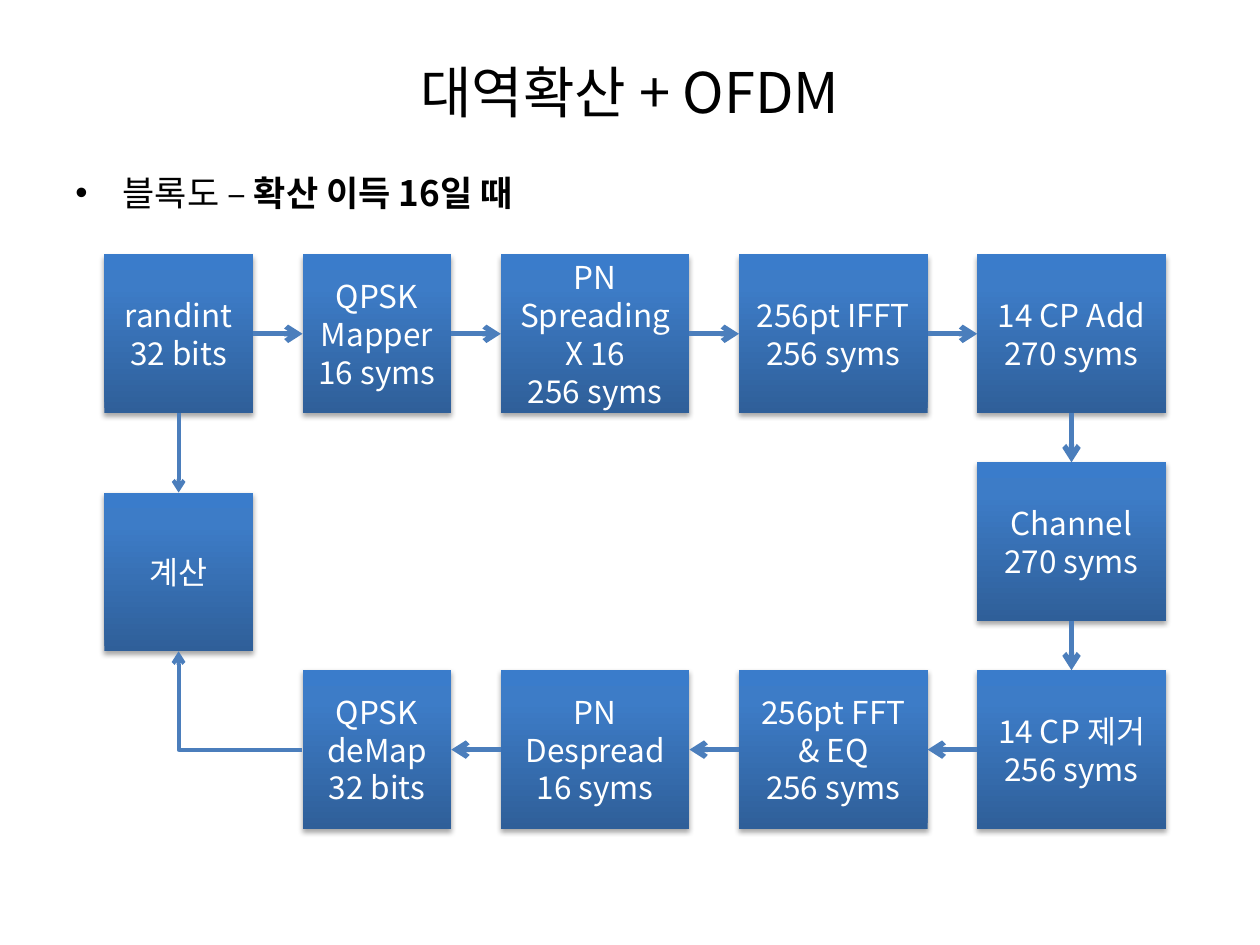
import pptx
import pptx.util
import pptx.dml.color
import pptx.enum.shapes
import pptx.enum.text
import pptx.oxml
import pptx.oxml.ns

Pt = pptx.util.Pt
qn = pptx.oxml.ns.qn
FONT = "Noto Sans CJK KR"
BLACK, WHITE, ARROW_BLUE = "000000", "FFFFFF", "4B7EBC"
GRADIENT = [(0, "2F5F99"), (80, "3D7CC7"), (100, "3A7CCB")]
TITLE = "대역확산 + OFDM"
BULLET = [("블록도 – ", False), ("확산 이득 16일 때", True)]

# name: (column, row, lines)
BLOCKS = {
    "source": (0, "top", ["randint", "32 bits"]),
    "mapper": (1, "top", ["QPSK", "Mapper", "16 syms"]),
    "spreading": (2, "top", ["PN", "Spreading", "X 16", "256 syms"]),
    "ifft": (3, "top", ["256pt IFFT", "256 syms"]),
    "cp_add": (4, "top", ["14 CP Add", "270 syms"]),
    "channel": (4, "middle", ["Channel", "270 syms"]),
    "cp_remove": (4, "bottom", ["14 CP 제거", "256 syms"]),
    "fft": (3, "bottom", ["256pt FFT", "& EQ", "256 syms"]),
    "despread": (2, "bottom", ["PN", "Despread", "16 syms"]),
    "demapper": (1, "bottom", ["QPSK", "deMap", "32 bits"]),
    "result": (0, "result", ["계산"]),
}
CHAIN = ["source", "mapper", "spreading", "ifft", "cp_add", "channel",
         "cp_remove", "fft", "despread", "demapper"]
TOP, LEFT, BOTTOM, RIGHT = range(4)  # connection sites of a rectangle

WIDTHS = [85, 85, 107.8, 107.8, 107.8]
FIRST_LEFT, GAP, HEIGHT = 59.6, 28.3, 90.7
LEFTS = [FIRST_LEFT + sum(WIDTHS[:i]) + GAP * i for i in range(len(WIDTHS))]
ROWS = {"top": 145.4, "middle": 264.2, "bottom": 383, "result": 281.5}


def color(value):
    """Turn a hex string into a colour."""
    return pptx.dml.color.RGBColor.from_string(value)


def xml(tag, attributes="", inner=""):
    """Make a drawing element from its tag, attributes and content."""
    return pptx.oxml.parse_xml(
        f'<a:{tag} {pptx.oxml.ns.nsdecls("a")} {attributes}>{inner}</a:{tag}>')


def style_run(run, size, value, bold=False):
    """Format one run, for Latin and Korean text alike."""
    run.font.name, run.font.size, run.font.bold = FONT, Pt(size), bold
    run.font.color.rgb = color(value)
    run._r.get_or_add_rPr().find(qn("a:latin")).addnext(
        xml("ea", f'typeface="{FONT}"'))


def place(shape, left, top, width, height):
    """Move and size a shape, in points."""
    shape.left, shape.top = Pt(left), Pt(top)
    shape.width, shape.height = Pt(width), Pt(height)


def add_title(slide):
    """Fill the title placeholder."""
    title = slide.shapes.title
    place(title, 36, 21.6, 648, 61.2)
    title.text_frame.text = TITLE
    title.text_frame.vertical_anchor = pptx.enum.text.MSO_ANCHOR.MIDDLE
    para = title.text_frame.paragraphs[0]
    para.alignment = pptx.enum.text.PP_ALIGN.CENTER
    style_run(para.runs[0], 32, BLACK)


def add_bullet(slide):
    """Add the bulleted line above the diagram."""
    box = slide.shapes.add_textbox(Pt(36), Pt(94.3), Pt(648), Pt(388))
    box.text_frame.word_wrap = True
    para = box.text_frame.paragraphs[0]
    para.space_before = Pt(4)
    properties = para._p.get_or_add_pPr()
    properties.set("marL", str(Pt(27)))
    properties.set("indent", str(Pt(-27)))
    properties.append(xml("buFont", 'typeface="Arial"'))
    properties.append(xml("buChar", 'char="•"'))
    for text, bold in BULLET:
        run = para.add_run()
        run.text = text
        style_run(run, 20, BLACK, bold)


def add_block(slide, column, row, lines):
    """Add one block with gradient, shadow and centred lines."""
    box = slide.shapes.add_shape(
        pptx.enum.shapes.MSO_SHAPE.RECTANGLE, Pt(LEFTS[column]),
        Pt(ROWS[row]), Pt(WIDTHS[column]), Pt(HEIGHT))
    box.fill.gradient()
    box.fill.gradient_angle = 90
    stops = box._element.spPr.find(qn("a:gradFill")).find(qn("a:gsLst"))
    for stop in list(stops):
        stops.remove(stop)
    for position, value in GRADIENT:
        stops.append(xml("gs", f'pos="{position * 1000}"',
                         f'<a:srgbClr val="{value}"/>'))
    box.line.fill.background()
    box.shadow.inherit = False
    box._element.spPr.find(qn("a:effectLst")).append(xml(
        "outerShdw",
        f'blurRad="{Pt(3.1)}" dist="{Pt(1.8)}" dir="5400000" rotWithShape="0"',
        '<a:srgbClr val="000000"><a:alpha val="35000"/></a:srgbClr>'))
    frame = box.text_frame
    frame.word_wrap = True
    frame.vertical_anchor = pptx.enum.text.MSO_ANCHOR.MIDDLE
    frame.text = "\n".join(lines)
    for para in frame.paragraphs:
        para.alignment = pptx.enum.text.PP_ALIGN.CENTER
        style_run(para.runs[0], 18, WHITE)
    return box


def add_arrow(slide, start, start_site, end, end_site, weight=3, bent=False):
    """Join two blocks with an arrow, straight or with one corner."""
    kinds = pptx.enum.shapes.MSO_CONNECTOR
    arrow = slide.shapes.add_connector(
        kinds.ELBOW if bent else kinds.STRAIGHT, 0, 0, 0, 0)
    arrow.begin_connect(start, start_site)
    arrow.end_connect(end, end_site)
    arrow.line.color.rgb = color(ARROW_BLUE)
    arrow.line.width = Pt(weight)
    arrow.line._get_or_add_ln().append(xml("tailEnd", 'type="arrow"'))
    properties = arrow._element.spPr
    properties.append(xml("effectLst"))
    if bent:
        properties.find(qn("a:prstGeom")).set("prst", "bentConnector2")


def chain_sites(start, end):
    """Choose the facing sides of two neighbouring blocks."""
    if BLOCKS[start][0] == BLOCKS[end][0]:
        return BOTTOM, TOP
    return (RIGHT, LEFT) if BLOCKS[start][0] < BLOCKS[end][0] else (LEFT, RIGHT)


deck = pptx.Presentation()
deck.slide_width, deck.slide_height = Pt(720), Pt(540)
page = deck.slides.add_slide(deck.slide_layouts[5])
add_title(page)
add_bullet(page)
boxes = {name: add_block(page, *block) for name, block in BLOCKS.items()}
for first, second in zip(CHAIN, CHAIN[1:]):
    first_site, second_site = chain_sites(first, second)
    add_arrow(page, boxes[first], first_site, boxes[second], second_site)
add_arrow(page, boxes["source"], BOTTOM, boxes["result"], TOP, 2.25)
add_arrow(page, boxes["demapper"], LEFT, boxes["result"], BOTTOM, 2.25, True)
deck.save("out.pptx")
